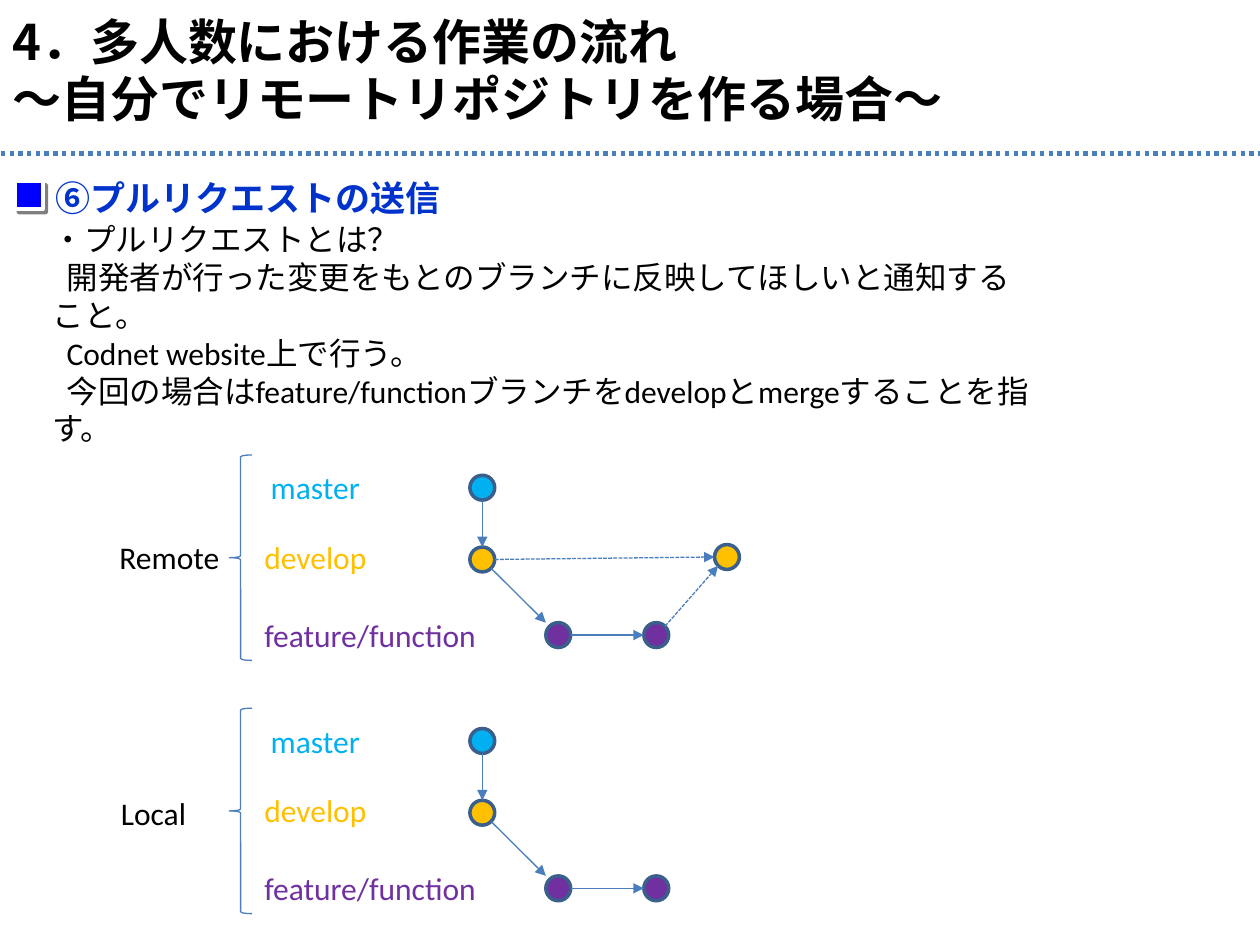
from typing import NamedTuple

from lxml.etree import SubElement
from pptx import Presentation
from pptx.dml.color import RGBColor
from pptx.enum.dml import MSO_LINE
from pptx.enum.shapes import MSO_CONNECTOR, MSO_SHAPE
from pptx.oxml.ns import qn
from pptx.util import Pt

BLACK = RGBColor(0x00, 0x00, 0x00)
WHITE = RGBColor(0xFF, 0xFF, 0xFF)
HEADING_BLUE = RGBColor(0x00, 0x33, 0xCC)
MARKER_BLUE = RGBColor(0x00, 0x00, 0xFF)
LINE_BLUE = RGBColor(0x4B, 0x7E, 0xBC)
DOT_EDGE = RGBColor(0x3A, 0x5F, 0x8C)
MASTER = RGBColor(0x00, 0xB0, 0xF0)
DEVELOP = RGBColor(0xFF, 0xC0, 0x00)
FEATURE = RGBColor(0x70, 0x30, 0xA0)

LATIN = "Calibri"
JAPANESE = "Noto Sans CJK JP"
RADIUS = 7.1
DIAGONAL = 0.71


class Style(NamedTuple):
    font: str
    size: float
    color: RGBColor
    bold: bool = False
    line_height: float | None = None


class Area(NamedTuple):
    left: float
    top: float
    width: float
    height: float

    def lengths(self) -> list:
        return [Pt(value) for value in self]


class Line(NamedTuple):
    text: str
    indent: float = 0


class Dot(NamedTuple):
    x: float
    y: float
    color: RGBColor


class Arrow(NamedTuple):
    start: str
    start_side: tuple[float, float]
    end: str
    end_side: tuple[float, float]
    dash: MSO_LINE | None = None


class Repository(NamedTuple):
    name: str
    name_area: Area
    top: float
    dots: dict[str, Dot]
    arrows: list[Arrow]


def add_text(page, area: Area, lines: list[Line], style: Style,
             wrap: bool = False, top_inset: float = 3.6) -> None:
    box = page.shapes.add_textbox(*area.lengths())
    frame = box.text_frame
    frame.word_wrap = wrap
    frame.margin_top = Pt(top_inset)
    for index, line in enumerate(lines):
        para = frame.add_paragraph() if index else frame.paragraphs[0]
        para.add_run().text = line.text
        para.font.name = style.font
        para.font.size = Pt(style.size)
        para.font.bold = style.bold
        para.font.color.rgb = style.color
        if style.line_height:
            para.line_spacing = Pt(style.line_height)
        properties = para._p.get_or_add_pPr()
        if line.indent:
            properties.set("indent", str(Pt(line.indent)))
        font = properties.find(qn("a:defRPr"))
        SubElement(font, qn("a:ea"), typeface=style.font)


def add_shape(page, kind: MSO_SHAPE, area: Area, fill: RGBColor | None,
              line: RGBColor, width: float):
    shape = page.shapes.add_shape(kind, *area.lengths())
    shape.shadow.inherit = False
    if fill is None:
        shape.fill.background()
    else:
        shape.fill.solid()
        shape.fill.fore_color.rgb = fill
    shape.line.color.rgb = line
    shape.line.width = Pt(width)
    return shape


def add_line(page, start: tuple[float, float], end: tuple[float, float],
             width: float, dash: MSO_LINE | None = None, head: bool = False) -> None:
    ends = [Pt(value) for value in (*start, *end)]
    connector = page.shapes.add_connector(MSO_CONNECTOR.STRAIGHT, *ends)
    connector.line.color.rgb = LINE_BLUE
    connector.line.width = Pt(width)
    if dash is not None:
        connector.line.dash_style = dash
    if head:
        SubElement(connector.line._get_or_add_ln(), qn("a:tailEnd"), type="triangle")
    SubElement(connector._element.spPr, qn("a:effectLst"))


def add_marker(page) -> None:
    marker = add_shape(page, MSO_SHAPE.RECTANGLE, Area(8.64, 103.7, 15.8, 15.8),
                       MARKER_BLUE, WHITE, 2.25)
    effects = marker._element.spPr.find(qn("a:effectLst"))
    shadow = SubElement(effects, qn("a:outerShdw"), blurRad="0", dist=str(Pt(2.8)),
                        dir="2700000", algn="ctr", rotWithShape="0")
    color = SubElement(shadow, qn("a:srgbClr"), val=str(BLACK))
    SubElement(color, qn("a:alpha"), val="50000")


def add_repository(page, repository: Repository) -> None:
    top = repository.top
    add_text(page, repository.name_area, [Line(repository.name)], Style(LATIN, 18, BLACK))
    add_shape(page, MSO_SHAPE.LEFT_BRACE, Area(131, top, 13, 117.4), None, LINE_BLUE, 0.75)
    for text, left, offset, width, color in BRANCH_LABELS:
        add_text(page, Area(left, top + offset, width, 28.8), [Line(text)],
                 Style(LATIN, 18, color))
    for dot in repository.dots.values():
        area = Area(dot.x - RADIUS, top + dot.y - RADIUS, 2 * RADIUS, 2 * RADIUS)
        add_shape(page, MSO_SHAPE.OVAL, area, dot.color, DOT_EDGE, 2)
    for arrow in repository.arrows:
        start, end = (
            (dot.x + side[0] * RADIUS, top + dot.y + side[1] * RADIUS)
            for dot, side in ((repository.dots[arrow.start], arrow.start_side),
                              (repository.dots[arrow.end], arrow.end_side))
        )
        add_line(page, start, end, 0.75, arrow.dash, head=True)


# Branch names: text, left, offset below the brace top, width, colour
BRANCH_LABELS = [
    ("master", 147.6, 4.2, 66.2, MASTER),
    ("develop", 144, 43.8, 73.4, DEVELOP),
    ("feature/function", 144, 88.5, 136.8, FEATURE),
]

# Commits and arrows that both repositories share
TOP, LEFT, BOTTOM, RIGHT = (0, -1), (-1, 0), (0, 1), (1, 0)
COMMITS = {
    "master": Dot(275.6, 18.7, MASTER),
    "develop": Dot(275.6, 59.7, DEVELOP),
    "first": Dot(319, 102.9, FEATURE),
    "second": Dot(375, 102.9, FEATURE),
}
STEPS = [
    Arrow("master", BOTTOM, "develop", TOP),
    Arrow("develop", (DIAGONAL, DIAGONAL), "first", (-1, -1)),
    Arrow("first", RIGHT, "second", LEFT),
]

# The remote also has the requested merge
MERGE = {"merged": Dot(415.4, 58.3, DEVELOP)}
MERGE_STEPS = [
    Arrow("second", (DIAGONAL, -DIAGONAL), "merged", (-DIAGONAL, DIAGONAL),
          MSO_LINE.SQUARE_DOT),
    Arrow("develop", RIGHT, "merged", LEFT, MSO_LINE.SQUARE_DOT),
]
REPOSITORIES = [
    Repository("Remote", Area(61.2, 303.8, 72, 28.8), 260, COMMITS | MERGE,
               STEPS + MERGE_STEPS),
    Repository("Local", Area(62, 450, 52.6, 28.8), 404.7, COMMITS, STEPS),
]


def main() -> None:
    deck = Presentation()
    deck.slide_width, deck.slide_height = Pt(720), Pt(540)
    page = deck.slides.add_slide(deck.slide_layouts[6])

    # Title and divider
    add_text(page, Area(0, 0, 829.4, 75),
             [Line("4．多人数における作業の流れ"), Line("～自分でリモートリポジトリを作る場合～")],
             Style(JAPANESE, 28, BLACK, True, 33), wrap=True, top_inset=7)
    add_line(page, (0.5, 87.8), (720.5, 87.8), 2.5, MSO_LINE.ROUND_DOT)

    # Section heading
    add_text(page, Area(24.5, 96.5, 672, 31.7), [Line("⑥プルリクエストの送信")],
             Style(JAPANESE, 20, HEADING_BLUE, True, 25), wrap=True)
    add_marker(page)

    # Explanation
    add_text(page, Area(23, 122.4, 577.4, 116.6), [
        Line("・プルリクエストとは？"),
        Line("開発者が行った変更をもとのブランチに反映してほしいと通知すること。", 8),
        Line("Codnet website上で行う。", 8),
        Line("今回の場合はfeature/functionブランチをdevelopとmergeすることを指す。", 8),
    ], Style(LATIN, 18, BLACK), wrap=True)

    # Branch diagrams
    for repository in REPOSITORIES:
        add_repository(page, repository)

    deck.save("out.pptx")


if __name__ == "__main__":
    main()
